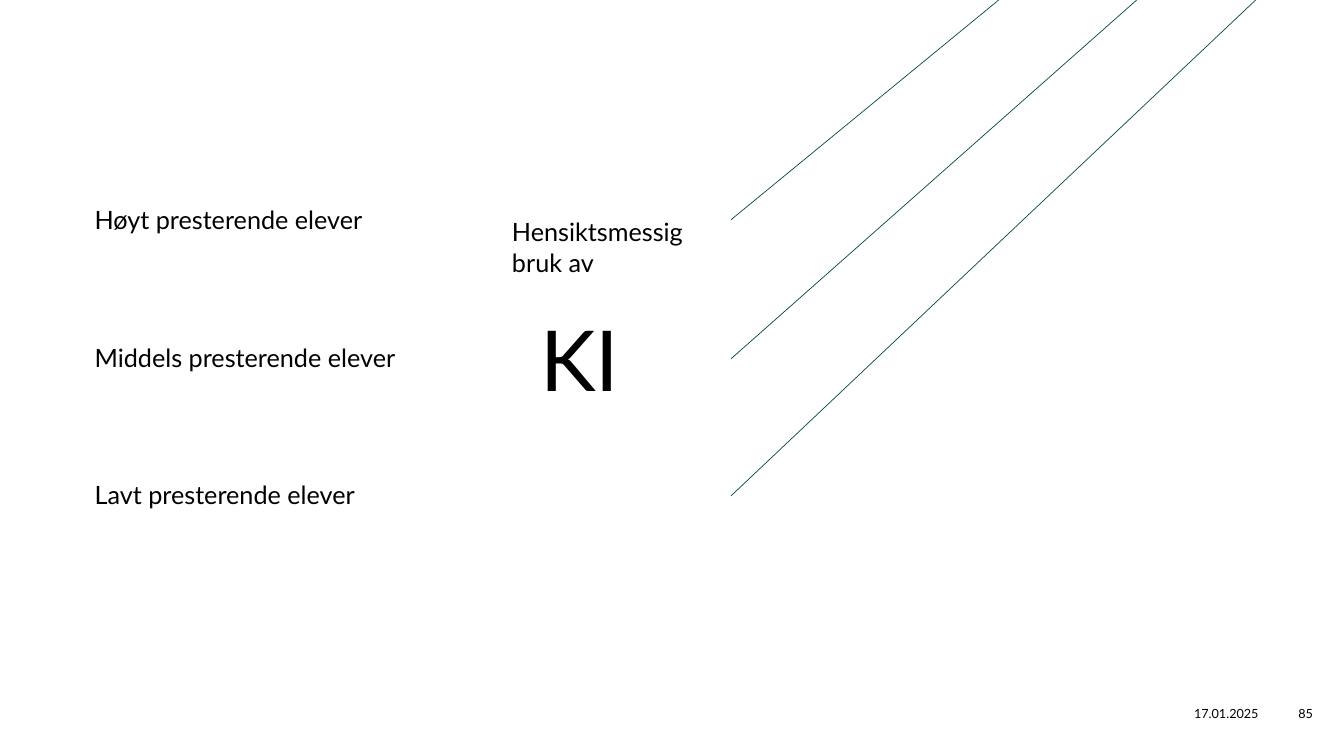
"""Build a slide on how purposeful AI use lifts pupils at three levels."""
from lxml.etree import SubElement
from pptx import Presentation
from pptx.dml.color import RGBColor
from pptx.enum.shapes import MSO_CONNECTOR
from pptx.enum.text import MSO_ANCHOR, PP_ALIGN
from pptx.oxml.ns import qn
from pptx.util import Emu, Pt

PX = 9144
COLORS = {"text": "000000", "arrow": "034B45", "background": "FFFFFF"}


def add_text(text, x, y, w, h, size=18, align=PP_ALIGN.LEFT, anchor=MSO_ANCHOR.TOP):
    tb = s.shapes.add_textbox(*(Emu(v * PX) for v in (x, y, w, h)))
    tf = tb.text_frame
    tf.word_wrap = True
    tf.vertical_anchor = anchor
    p = tf.paragraphs[0]
    p.alignment = align
    r = p.add_run()
    r.text = text
    r.font.name = "Lato"
    r.font.size = Pt(size)
    r.font.color.rgb = RGBColor.from_string(COLORS["text"])


prs = Presentation()
prs.slide_width = Emu(1333 * PX)
prs.slide_height = Emu(750 * PX)
s = prs.slides.add_slide(prs.slide_layouts[6])
s.background.fill.solid()
s.background.fill.fore_color.rgb = RGBColor.from_string(COLORS["background"])

add_text("17.01.2025", 1111, 688, 147, 40, size=9,
         align=PP_ALIGN.RIGHT, anchor=MSO_ANCHOR.MIDDLE)
add_text("85", 1257, 688, 76, 40, size=9,
         align=PP_ALIGN.CENTER, anchor=MSO_ANCHOR.MIDDLE)

levels = [
    ("Høyt presterende elever", 198, 218, 1049, -48),
    ("Middels presterende elever", 335, 356, 1167, -35),
    ("Lavt presterende elever", 471, 492, 1257, -11),
]
for label, top, start_y, end_x, end_y in levels:
    add_text(label, 84, top, 365, 40)
    arrow = s.shapes.add_connector(
        MSO_CONNECTOR.STRAIGHT,
        *(Emu(v * PX) for v in (725, start_y, end_x, end_y)))
    arrow.line.color.rgb = RGBColor.from_string(COLORS["arrow"])
    arrow.line.width = Pt(0.5)
    SubElement(arrow.line._get_or_add_ln(), qn("a:tailEnd"), type="triangle")
    SubElement(arrow._element.spPr, qn("a:effectLst"))

add_text("KI", 526, 300, 120, 111, size=60)
add_text("Hensiktsmessig bruk av", 498, 210, 227, 71)

prs.save("out.pptx")
